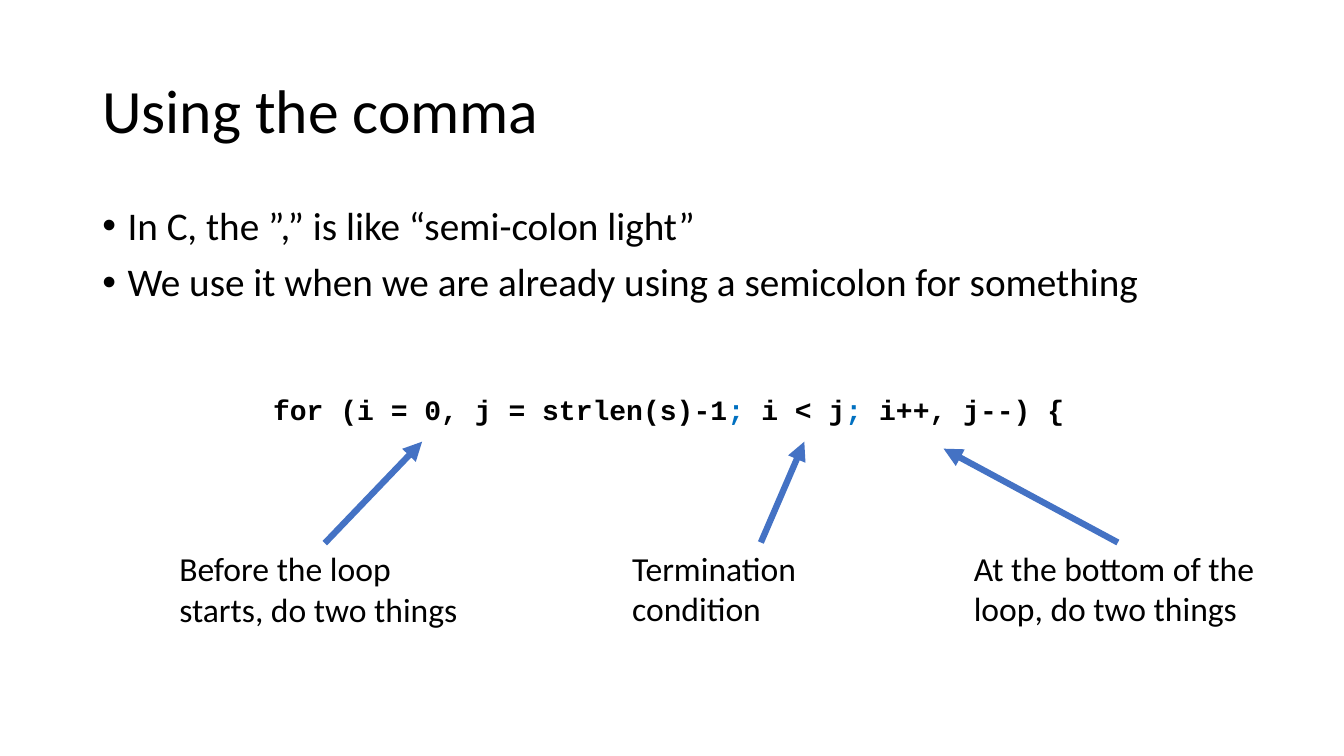
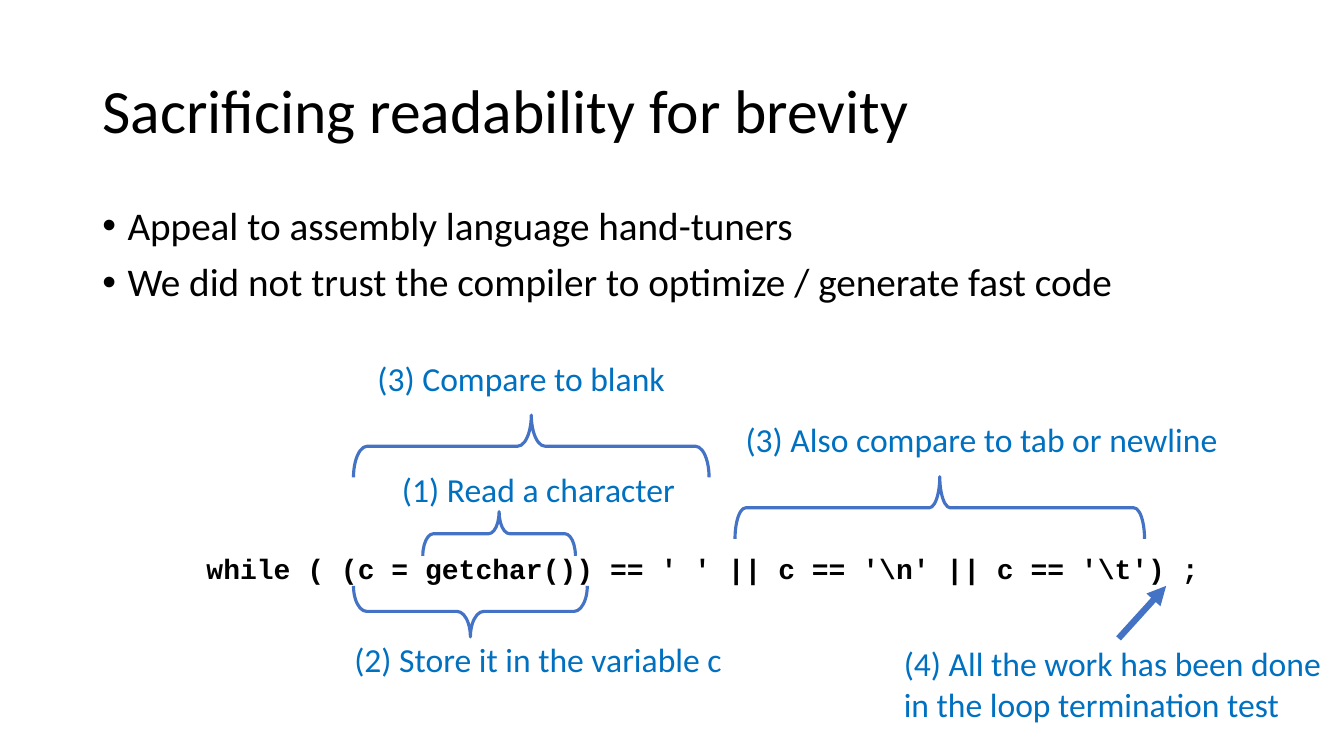
from lxml.etree import SubElement
from pptx import Presentation
from pptx.dml.color import RGBColor
from pptx.enum.shapes import MSO_CONNECTOR, MSO_SHAPE
from pptx.enum.text import MSO_ANCHOR
from pptx.oxml.ns import qn
from pptx.util import Pt

COLORS = {"text": "000000", "accent": "0070C0", "line": "4472C4"}
TITLE_BOX = (66, 29, 828, 104)
BODY_BOX = (66, 144, 843, 104)
INDENT = 18

SLIDES = [
    {
        "title": "Using the comma",
        "bullets": [
            "In C, the ”,” is like “semi-colon light”",
            "We use it when we are already using a semicolon for something",
        ],
        "code_box": (188, 276.5, 584, 31.5),
        "code": [
            ("for (i = 0, j = strlen(s)-1", "text"),
            ("; ", "accent"),
            ("i < j", "text"),
            ("; ", "accent"),
            ("i++, j--) {", "text"),
        ],
        "label_color": "text",
        "labels": [
            ("Before the loop starts, do two things", (121, 388, 221, 65.5)),
            ("Termination condition", (444.5, 387.5, 198, 65.5)),
            ("At the bottom of the loop, do two things", (688.5, 387.5, 221, 65.5)),
        ],
        "braces": [],
        "arrows": [
            (232, 388, 301.5, 315.5),
            (543.5, 387.5, 574.5, 315.5),
            (798.5, 387.5, 674, 320.5),
        ],
    },
    {
        "title": "Sacrificing readability for brevity",
        "bullets": [
            "Appeal to assembly language hand-tuners",
            "We did not trust the compiler to optimize / generate fast code",
        ],
        "code_box": (140.4, 390.5, 754, 31.5),
        "code": [(r"while ( (c = getchar()) == ' ' || c == '\n' || c == '\t') ;", "text")],
        "label_color": "accent",
        "labels": [
            ("(1) Read a character", (280, 331.5, 241, 36)),
            ("(2) Store it in the variable c", (246, 452.5, 335, 36)),
            ("(3) Compare to blank", (262.5, 252, 254, 36)),
            ("(3) Also compare to tab or newline", (525.5, 296, 384.5, 36)),
            ("(4) All the work has been done in the loop termination test",
             (638.5, 456, 321.5, 65.5)),
        ],
        "braces": [
            ((302, 365.5, 109, 31.5), "up", 0.24, 0.5),
            ((252.5, 418.5, 167, 36.5), "down", 0.26, 0.5),
            ((252.5, 296.5, 254, 44.5), "up", 0.22, 0.5),
            ((525, 340.5, 292.5, 44.5), "up", 0.17, 0.5),
        ],
        "arrows": [(799, 456, 833, 418.5)],
    },
]


def rgb(name):
    return RGBColor.from_string(COLORS[name])


def add_text(s, box, paragraphs, size, font="Calibri", bold=False):
    tf = s.shapes.add_textbox(*map(Pt, box)).text_frame
    tf.word_wrap = True
    for i, runs in enumerate(paragraphs):
        p = tf.paragraphs[0] if i == 0 else tf.add_paragraph()
        for text, color in runs:
            r = p.add_run()
            r.text = text
            r.font.size = Pt(size)
            r.font.name = font
            r.font.bold = bold
            r.font.color.rgb = rgb(color)
    return tf


def add_title(s, title):
    tf = add_text(s, TITLE_BOX, [[(title, "text")]], 44)
    tf.vertical_anchor = MSO_ANCHOR.MIDDLE
    tf.paragraphs[0].line_spacing = 0.9


def add_bullets(s, bullets):
    tf = add_text(s, BODY_BOX, [[(b, "text")] for b in bullets], 28)
    for p in tf.paragraphs:
        p.line_spacing = 0.9
        p.space_before = Pt(10)
        pPr = p._p.get_or_add_pPr()
        pPr.set("marL", str(Pt(INDENT)))
        pPr.set("indent", str(-Pt(INDENT)))
        SubElement(pPr, qn("a:buFont")).set("typeface", "Arial")
        SubElement(pPr, qn("a:buChar")).set("char", "•")


def add_brace(s, box, direction, curve, tip):
    x, y, w, h = box
    left, top = x + (w - h) / 2, y + (h - w) / 2
    sp = s.shapes.add_shape(MSO_SHAPE.LEFT_BRACE, Pt(left), Pt(top), Pt(h), Pt(w))
    sp.rotation = 90 if direction == "up" else 270
    sp.adjustments[0] = curve
    sp.adjustments[1] = tip
    sp.shadow.inherit = False
    sp.fill.background()
    sp.line.color.rgb = rgb("line")
    sp.line.width = Pt(2.25)


def add_arrow(s, ends):
    c = s.shapes.add_connector(MSO_CONNECTOR.STRAIGHT, *map(Pt, ends))
    c.line.color.rgb = rgb("line")
    c.line.width = Pt(4.5)
    SubElement(c.line._get_or_add_ln(), qn("a:tailEnd")).set("type", "triangle")
    SubElement(c._element.spPr, qn("a:effectLst"))


def main():
    prs = Presentation()
    prs.slide_width, prs.slide_height = Pt(960), Pt(540)
    for content in SLIDES:
        s = prs.slides.add_slide(prs.slide_layouts[6])
        add_title(s, content["title"])
        add_bullets(s, content["bullets"])
        add_text(s, content["code_box"], [content["code"]], 20, "Courier New", True)
        for label, box in content["labels"]:
            add_text(s, box, [[(label, content["label_color"])]], 24)
        for brace in content["braces"]:
            add_brace(s, *brace)
        for ends in content["arrows"]:
            add_arrow(s, ends)
    prs.save("out.pptx")


if __name__ == "__main__":
    main()
